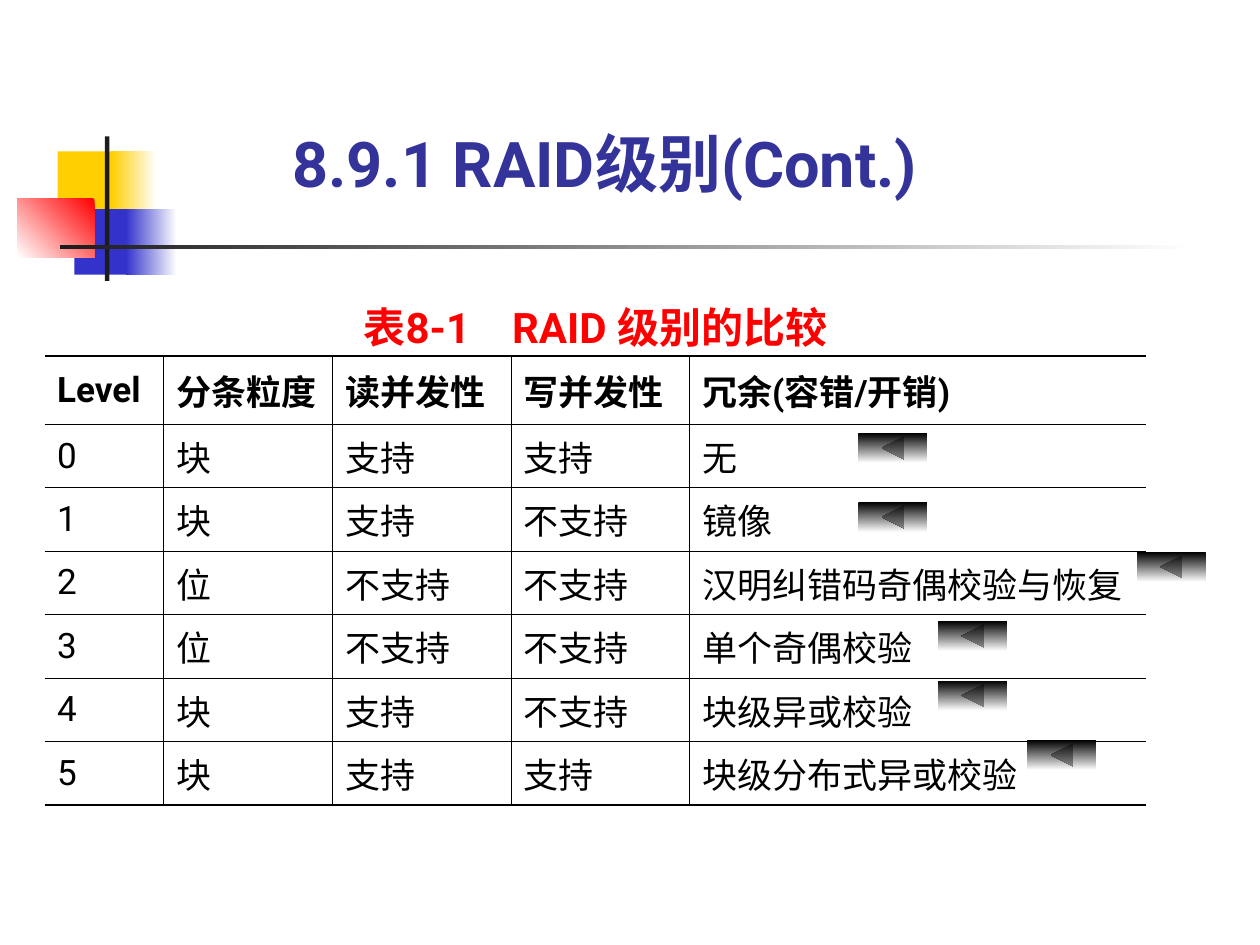
"""Build the RAID level comparison slide."""
from dataclasses import dataclass

from lxml.etree import SubElement
from pptx import Presentation
from pptx.dml.color import RGBColor
from pptx.enum.shapes import MSO_SHAPE
from pptx.enum.text import MSO_ANCHOR, MSO_AUTO_SIZE, PP_ALIGN
from pptx.oxml.ns import qn
from pptx.util import Pt


@dataclass(frozen=True)
class Theme:
    font: str = "Roboto"
    title_size: int = 36
    caption_size: int = 24
    cell_size: int = 20
    title: str = "333399"
    caption: str = "FF0000"
    ink: str = "000000"
    dark: str = "1C1C1C"
    white: str = "FFFFFF"
    silver: str = "FEFEFE"
    yellow: str = "FFCF01"
    blue: str = "3333CC"
    red: str = "FF0000"
    thin: float = 0.45
    thick: float = 1.08


THEME = Theme()
TITLE = "8.9.1 RAID级别(Cont.)"
TITLE_BOX = (167, 71.5, 415.5, 43)
CAPTION = "表8-1　RAID 级别的比较"
ROWS = [
    ("Level", "分条粒度", "读并发性", "写并发性", "冗余(容错/开销)"),
    ("0", "块", "支持", "支持", "无"),
    ("1", "块", "支持", "不支持", "镜像"),
    ("2", "位", "不支持", "不支持", "汉明纠错码奇偶校验与恢复"),
    ("3", "位", "不支持", "不支持", "单个奇偶校验"),
    ("4", "块", "支持", "不支持", "块级异或校验"),
    ("5", "块", "支持", "支持", "块级分布式异或校验"),
]
TABLE_LEFT, TABLE_TOP = 25.5, 167.5
COLUMN_WIDTHS = [68, 96.5, 102, 102, 261]
ROW_HEIGHTS = [36, 39] + [35] * 6
DECORATIONS = [
    ((33, 86.5, 34.5, 37.5), [THEME.yellow], 0),
    ((63.5, 86.5, 26, 37.5), [THEME.white, THEME.yellow], 180),
    ((42.5, 119.5, 33, 37.5), [THEME.blue], 0),
    ((72, 119.5, 29, 37.5), [THEME.white, THEME.blue], 180),
    ((10, 113.5, 44, 33.5), [THEME.red, THEME.white], 225),
    ((60, 78, 2.5, 82.5), [THEME.dark], 0),
    ((34.5, 140, 648, 2.5), [THEME.white, THEME.dark], 180),
]
BUTTON_SIZE = (39.5, 17)
BUTTONS = [(490.5, 247.5), (490.5, 287), (649.5, 315.5),
           (536, 355), (536, 389), (587, 423)]


def color(value):
    return RGBColor.from_string(value)


def add_block(page, kind, frame, colors, angle):
    block = page.shapes.add_shape(kind, *map(Pt, frame))
    block.shadow.inherit = False
    block.line.fill.background()
    if len(colors) == 1:
        block.fill.solid()
        block.fill.fore_color.rgb = color(colors[0])
        return
    block.fill.gradient()
    block.fill.gradient_angle = angle
    for stop, value in zip(block.fill.gradient_stops, colors):
        stop.color.rgb = color(value)


def write(frame, text, size, ink, bold, align=PP_ALIGN.LEFT):
    paragraph = frame.paragraphs[0]
    paragraph.text = text
    paragraph.alignment = align
    font = paragraph.font
    font.name, font.size, font.bold = THEME.font, Pt(size), bold
    font.color.rgb = color(ink)


def set_borders(cell, widths):
    properties = cell._tc.get_or_add_tcPr()
    for side, width in zip("LRTB", widths):
        line = SubElement(properties, qn(f"a:ln{side}"), w=str(int(Pt(width))))
        if width:
            fill = SubElement(line, qn("a:solidFill"))
            SubElement(fill, qn("a:srgbClr"), val=THEME.ink)
        else:
            SubElement(line, qn("a:noFill"))


def add_title(page):
    title = page.shapes.title
    title.left, title.top, title.width, title.height = map(Pt, TITLE_BOX)
    frame = title.text_frame
    frame.auto_size = MSO_AUTO_SIZE.NONE
    frame.vertical_anchor = MSO_ANCHOR.BOTTOM
    frame.margin_left = frame.margin_right = 0
    frame.margin_top = frame.margin_bottom = 0
    write(frame, TITLE, THEME.title_size, THEME.title, True)


def add_levels(page):
    row_count, column_count = len(ROW_HEIGHTS), len(COLUMN_WIDTHS)
    table = page.shapes.add_table(
        row_count, column_count, Pt(TABLE_LEFT), Pt(TABLE_TOP),
        Pt(sum(COLUMN_WIDTHS)), Pt(sum(ROW_HEIGHTS))).table
    table.first_row = table.horz_banding = False
    for column, width in zip(table.columns, COLUMN_WIDTHS):
        column.width = Pt(width)
    for row, height in zip(table.rows, ROW_HEIGHTS):
        row.height = Pt(height)

    rules = [0, THEME.thick, THEME.thick] + [THEME.thin] * 5 + [THEME.thick]
    dividers = [0] + [THEME.thin] * (column_count - 1) + [0]
    for r in range(row_count):
        for c in range(column_count):
            cell = table.cell(r, c)
            sides = dividers[c:c + 2] if r else [0, 0]
            set_borders(cell, sides + rules[r:r + 2])
            cell.fill.background()
            if r:
                cell.vertical_anchor = MSO_ANCHOR.MIDDLE
                write(cell.text_frame, ROWS[r - 1][c], THEME.cell_size,
                      THEME.ink, r == 1)

    caption = table.cell(0, 0)
    caption.merge(table.cell(0, column_count - 1))
    caption.margin_top = caption.margin_bottom = 0
    caption.vertical_anchor = MSO_ANCHOR.BOTTOM
    write(caption.text_frame, CAPTION, THEME.caption_size, THEME.caption,
          True, PP_ALIGN.CENTER)


def main():
    deck = Presentation()
    deck.slide_width, deck.slide_height = Pt(720), Pt(540)
    page = deck.slides.add_slide(deck.slide_layouts[5])
    for frame, colors, angle in DECORATIONS:
        add_block(page, MSO_SHAPE.RECTANGLE, frame, colors, angle)
    add_title(page)
    add_levels(page)
    for place in BUTTONS:
        add_block(page, MSO_SHAPE.ACTION_BUTTON_BACK_OR_PREVIOUS,
                  place + BUTTON_SIZE, [THEME.ink, THEME.silver], 270)
    deck.save("out.pptx")


if __name__ == "__main__":
    main()
